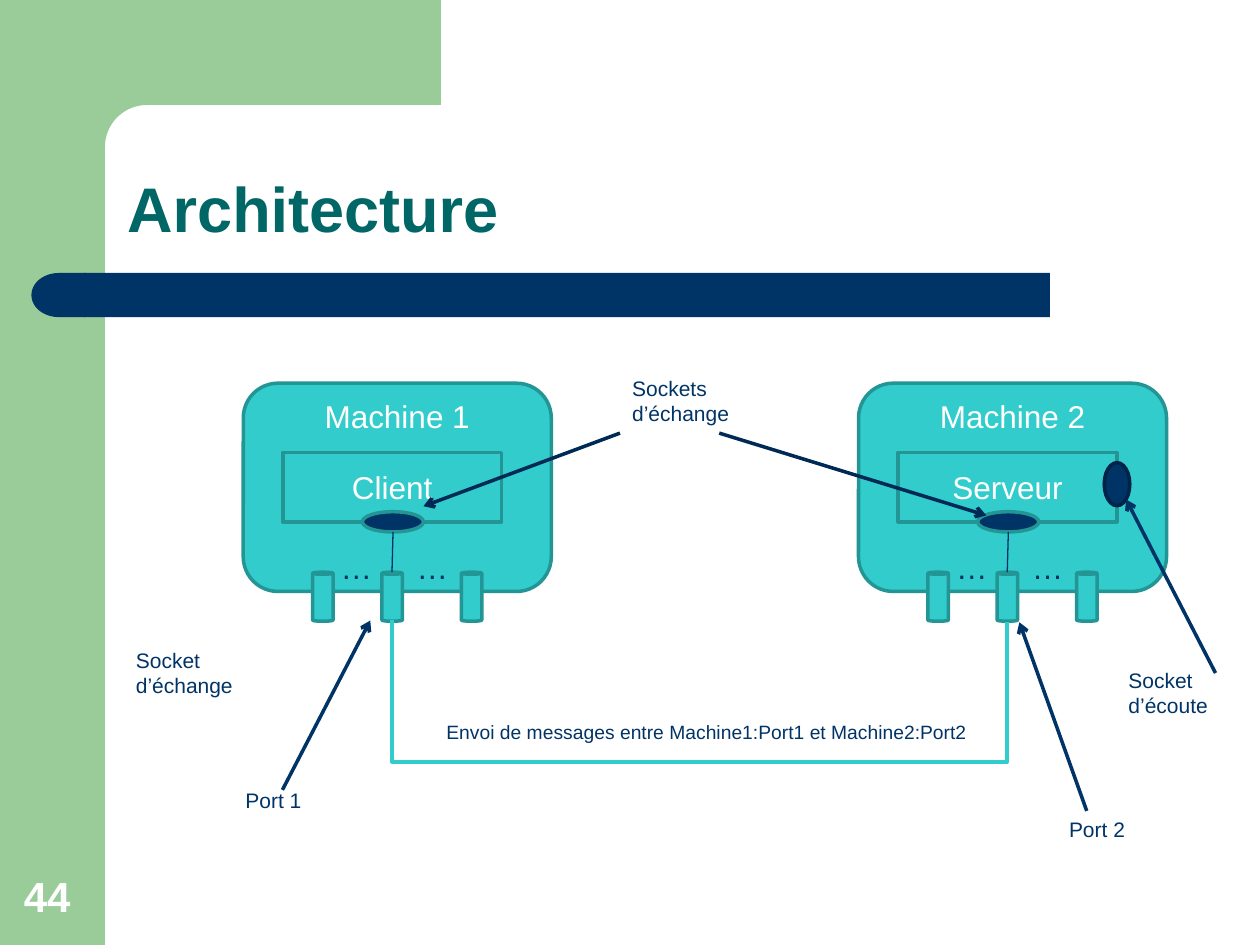
from dataclasses import dataclass
from math import cos, pi, sin

from lxml.etree import SubElement
from pptx import Presentation
from pptx.dml.color import RGBColor
from pptx.enum.shapes import MSO_CONNECTOR, MSO_SHAPE
from pptx.enum.text import MSO_ANCHOR, MSO_AUTO_SIZE, PP_ALIGN
from pptx.oxml.ns import qn
from pptx.util import Pt


@dataclass(frozen=True)
class Theme:
    font: str = "Arial"
    white: str = "FFFFFF"
    green: str = "99CC99"
    title: str = "006666"
    navy: str = "003366"
    deep: str = "002A56"
    rim: str = "002349"
    aqua: str = "33CCCC"
    edge: str = "239595"
    head: float = 36
    page: float = 24
    big: float = 18
    label: float = 12
    small: float = 11


T = Theme()


def color(code):
    return RGBColor.from_string(code)


def write(shape, text, size=T.label, ink=T.navy, bold=False,
          align=PP_ALIGN.LEFT, anchor=MSO_ANCHOR.TOP, space=None, top=3.6):
    frame = shape.text_frame
    frame.word_wrap = True
    frame.auto_size = MSO_AUTO_SIZE.NONE
    frame.vertical_anchor = anchor
    frame.margin_top = Pt(top)
    para = frame.paragraphs[0]
    para.alignment = align
    para.line_spacing = space
    run = para.add_run()
    run.text = text
    font = run.font
    font.name, font.size, font.bold = T.font, Pt(size), bold
    font.color.rgb = color(ink)


def label(slide, text, x, y, w=90.7, h=36, **style):
    box = slide.shapes.add_textbox(Pt(x), Pt(y), Pt(w), Pt(h))
    write(box, text, **style)


def paint(shape, fill, line=None):
    shape.shadow.inherit = False
    shape.fill.solid()
    shape.fill.fore_color.rgb = color(fill)
    if line:
        shape.line.color.rgb = color(line)
        shape.line.width = Pt(2)
    else:
        shape.line.fill.background()


def draw(slide, kind, x, y, w, h, fill=T.aqua, line=T.edge):
    shape = slide.shapes.add_shape(kind, Pt(x), Pt(y), Pt(w), Pt(h))
    paint(shape, fill, line)
    return shape


def link(slide, start, end, ink=T.navy, width=2, arrow=False,
         kind=MSO_CONNECTOR.STRAIGHT):
    line = slide.shapes.add_connector(kind, *map(Pt, start + end))
    line.line.color.rgb = color(ink)
    line.line.width = Pt(width)
    props = line.element.spPr
    if arrow:
        SubElement(props.find(qn("a:ln")), qn("a:tailEnd"), type="arrow")
    SubElement(props, qn("a:effectLst"))
    return line


def loop(slide, left, right, top, drop):
    mid, half = (left + right) / 2, (right - left) / 2
    line = link(slide, (mid + 0.5, top - half), (mid - 0.5, top + half),
                ink=T.aqua, kind=MSO_CONNECTOR.ELBOW)
    props = line.element.spPr
    props.find(qn("a:xfrm")).set("rot", "16200000")
    guides = props.find(qn("a:prstGeom")).find(qn("a:avLst"))
    SubElement(guides, qn("a:gd"), name="adj1", fmla=f"val {drop * 100000}")


def frame(slide):
    draw(slide, MSO_SHAPE.RECTANGLE, 0, 0, 60, 540, T.green, None)
    arc = [(84 - 24 * sin(a), 84 - 24 * cos(a))
           for a in (pi / 2 * i / 16 for i in range(17))]
    build = slide.shapes.build_freeform(Pt(252), Pt(0))
    edge = [(252, 60), *arc, (60, 92), (36, 92), (36, 0)]
    build.add_line_segments([(Pt(x), Pt(y)) for x, y in edge])
    paint(build.convert_to_shape(), T.green)
    draw(slide, MSO_SHAPE.RECTANGLE, 48, 156, 552, 25.2, T.navy, None)
    cap = draw(slide, MSO_SHAPE.FLOWCHART_DELAY, 18, 156, 31, 25.2,
               T.navy, None)
    cap.element.spPr.find(qn("a:xfrm")).set("flipH", "1")


def title(slide, text):
    head = slide.shapes.title
    head.left, head.top, head.width, head.height = map(
        Pt, (65.5, 65.5, 612.7, 78.5))
    write(head, text, size=T.head, ink=T.title, bold=True,
          anchor=MSO_ANCHOR.BOTTOM, space=0.9)


def machine(slide, x, name, role):
    style = dict(size=T.big, ink=T.white, align=PP_ALIGN.CENTER)
    body = draw(slide, MSO_SHAPE.ROUNDED_RECTANGLE, x, 219, 176, 119)
    write(body, name, top=2, **style)
    task = draw(slide, MSO_SHAPE.RECTANGLE, x + 22.6, 258.5, 125, 39.8)
    write(task, role, anchor=MSO_ANCHOR.MIDDLE, **style)
    for step in (39.6, 79.2, 124.6):
        port = draw(slide, MSO_SHAPE.CAN, x + step, 327, 11.7, 28)
        port.adjustments[0] = 0.1
    for step in (48.6, 92):
        label(slide, "…", x + step, 309.6, w=48, h=29, size=T.big)
    draw(slide, MSO_SHAPE.OVAL, x + 68, 292.4, 35, 11.6, T.navy)
    link(slide, (x + 85.6, 304), (x + 85, 327), width=0.75)


def main():
    deck = Presentation()
    deck.slide_width, deck.slide_height = Pt(720), Pt(540)
    slide = deck.slides.add_slide(deck.slide_layouts[5])
    frame(slide)
    title(slide, "Architecture")

    left, right = 139, 490.6
    machine(slide, left, "Machine 1", "Client")
    machine(slide, right, "Machine 2", "Serveur")
    draw(slide, MSO_SHAPE.OVAL, 631, 264.4, 14.6, 24.6, T.navy, T.rim)
    loop(slide, left + 85, right + 85, 355, 81.5)

    arrows = [
        ((354.3, 247.5), (242, 289.3), T.deep),
        ((411, 247.5), (563.6, 294.5), T.deep),
        ((694.6, 384.6), (643.5, 285.4), T.navy),
        ((161.4, 451.4), (211.6, 354.6), T.navy),
        ((621, 463.4), (582.5, 355.6), T.navy),
    ]
    for start, end, ink in arrows:
        link(slide, start, end, ink=ink, arrow=True)

    notes = [
        ("Socket d’échange", 70.6, 366.5),
        ("Sockets d’échange", 354.2, 211),
        ("Socket d’écoute", 637.8, 378),
        ("Port 1", 133.2, 446.4),
        ("Port 2", 603.8, 463),
    ]
    for text, x, y in notes:
        label(slide, text, x, y)
    label(slide, "Envoi de messages entre Machine1:Port1 et Machine2:Port2",
          248, 408, w=322, h=21, size=T.small)
    label(slide, "44", 6.5, 491.8, w=46, h=38, size=T.page, ink=T.white,
          bold=True, anchor=MSO_ANCHOR.BOTTOM)
    deck.save("out.pptx")


if __name__ == "__main__":
    main()
